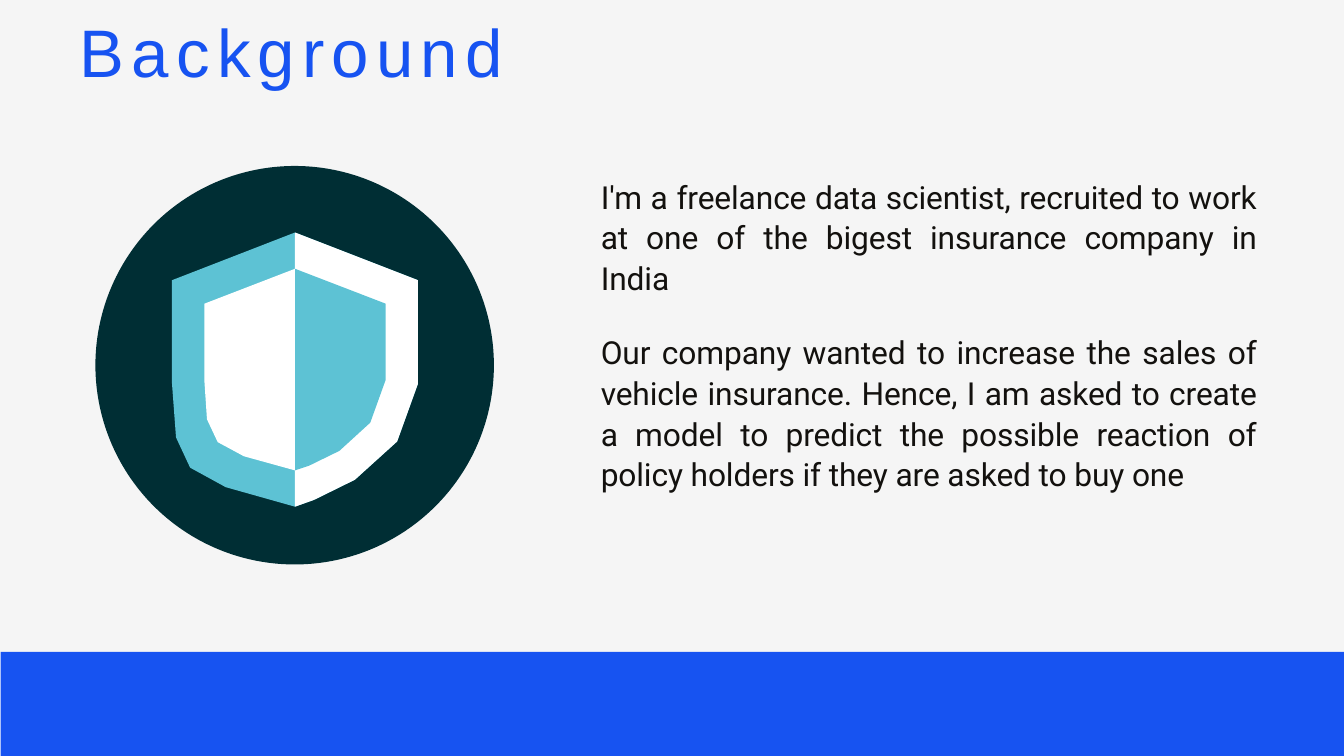
from pptx import Presentation
from pptx.dml.color import RGBColor
from pptx.enum.shapes import MSO_SHAPE
from pptx.enum.text import MSO_ANCHOR, MSO_AUTO_SIZE, PP_ALIGN
from pptx.util import Inches, Pt

THEME = {
    "panel": "F5F5F5", "blue": "1753F1", "dark": "002E34",
    "teal": "5DC2D4", "white": "FFFFFF", "ink": "13110E",
    "head": 72, "body": 34,
}
TITLE = "Background"
BODY = [
    "I'm a freelance data scientist, recruited to work at one of the "
    "bigest insurance company in India",
    "Our company wanted to increase the sales of vehicle insurance. "
    "Hence, I am asked to create a model to predict the possible reaction "
    "of policy holders if they are asked to buy one",
]
BASE = [
    (MSO_SHAPE.RECTANGLE, (0, 0, 20, 9.7), "panel"),
    (MSO_SHAPE.RECTANGLE, (0.01, 9.7, 19.99, 1.55), "blue"),
    (MSO_SHAPE.OVAL, (1.42, 2.47, 5.93, 5.93), "dark"),
]
LEFT = [(4.39, 7.54), (3.36, 7.25), (2.83, 6.96), (2.62, 6.51),
        (2.56, 5.71), (2.56, 4.17), (4.39, 3.46)]
RIGHT = [(6.22, 4.17), (6.22, 5.71), (5.91, 6.57), (5.28, 7.14),
         (4.67, 7.44)]
INNER = [(4.39, 4), (3.04, 4.52), (3.04, 5.65), (3.08, 6.24),
         (3.24, 6.58), (3.63, 6.79), (4.39, 7)]
CORE = [(4.39, 7), (4.39, 4), (5.74, 4.52), (5.74, 5.65),
        (5.51, 6.29), (5.05, 6.71), (4.6, 6.93)]
SHIELD = [
    (LEFT + RIGHT, "teal"),
    (LEFT[-1:] + INNER + LEFT[:1] + RIGHT[::-1], "white"),
    (CORE, "teal"),
]


def color(name):
    return RGBColor.from_string(THEME[name])


def paint(shape, name):
    shape.shadow.inherit = False
    shape.fill.solid()
    shape.fill.fore_color.rgb = color(name)
    shape.line.fill.background()


def put(obj, values):
    for key, value in values.items():
        setattr(obj, key, value)


def write(shape, box, texts, font, para, track):
    put(shape, dict(zip(("left", "top", "width", "height"), map(Inches, box))))
    frame = shape.text_frame
    put(frame, {"margin_left": 0, "margin_top": Inches(0.01),
                "margin_right": 0, "margin_bottom": 0, "word_wrap": True,
                "auto_size": MSO_AUTO_SIZE.NONE,
                "vertical_anchor": MSO_ANCHOR.TOP})
    for i, text in enumerate(texts):
        line = frame.add_paragraph() if i else frame.paragraphs[0]
        put(line, {**para, "space_before": Pt(36 if i else 1)})
        line._p.get_or_add_pPr().set("marL", str(Inches(0.01)))
        run = line.add_run()
        run.text = text
        put(run.font, {"name": font["name"], "size": Pt(THEME[font["size"]])})
        run.font.color.rgb = color(font["color"])
        run._r.get_or_add_rPr().set("spc", str(track))


def main():
    deck = Presentation()
    put(deck, {"slide_width": Inches(20), "slide_height": Inches(11.25)})
    slide = deck.slides.add_slide(deck.slide_layouts[5])
    shapes = slide.shapes
    title = shapes.title
    for kind, box, name in BASE:
        paint(shapes.add_shape(kind, *map(Inches, box)), name)
    for points, name in SHIELD:
        spots = [(Inches(x), Inches(y)) for x, y in points]
        pen = shapes.build_freeform(*spots[0])
        pen.add_line_segments(spots[1:], close=True)
        paint(pen.convert_to_shape(), name)
    box = (8.93, 2.59, 9.78, 4.76)
    write(shapes.add_textbox(*map(Inches, box)), box, BODY,
          {"name": "Roboto", "size": "body", "color": "ink"},
          {"alignment": PP_ALIGN.JUSTIFY, "line_spacing": 1.07}, -10)
    write(title, (1.18, 0.14, 6.44, 1.23), [TITLE],
          {"name": "Arial", "size": "head", "color": "blue"},
          {"alignment": PP_ALIGN.LEFT}, 770)
    shapes._spTree.append(title._element)
    deck.save("out.pptx")


if __name__ == "__main__":
    main()
